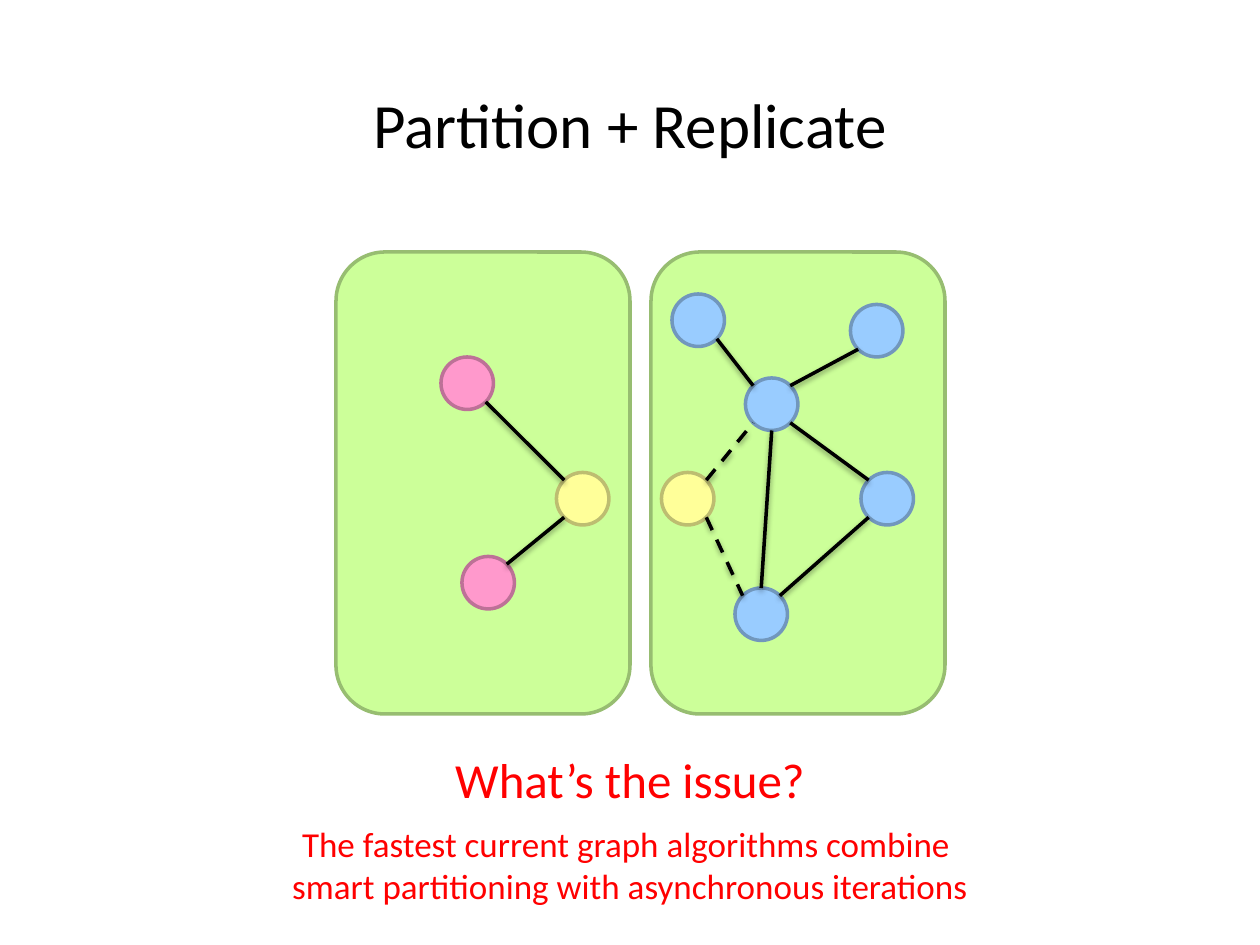
"""Build the slide on partitioning and replicating a graph."""
from math import sqrt

from lxml import etree
from pptx import Presentation
from pptx.dml.color import RGBColor
from pptx.enum.dml import MSO_LINE
from pptx.enum.shapes import MSO_CONNECTOR, MSO_SHAPE
from pptx.enum.text import MSO_ANCHOR, PP_ALIGN
from pptx.oxml import parse_xml
from pptx.util import Inches, Pt

ROUND, OVAL = MSO_SHAPE.ROUNDED_RECTANGLE, MSO_SHAPE.OVAL
STRAIGHT, DASH = MSO_CONNECTOR.STRAIGHT, MSO_LINE.DASH
CENTER, MIDDLE = PP_ALIGN.CENTER, MSO_ANCHOR.MIDDLE
BLACK = RGBColor(0x00, 0x00, 0x00)
RED = RGBColor(0xFF, 0x00, 0x00)
GREEN = RGBColor(0xCC, 0xFF, 0x99), RGBColor(0x97, 0xBD, 0x71)
PINK = RGBColor(0xFF, 0x99, 0xCC), RGBColor(0xBD, 0x71, 0x97)
YELLOW = RGBColor(0xFF, 0xFF, 0x99), RGBColor(0xBD, 0xBD, 0x71)
BLUE = RGBColor(0x99, 0xCC, 0xFF), RGBColor(0x71, 0x97, 0xBD)

FONT = "Calibri"
UNIT = Inches(1) / 12
SIZE = 5
STROKE = Pt(2)
PANELS = [(32, 24), (62, 24)]
PANEL_SIZE = 28, 44
NODES = {
    "pink top": (42, 34, PINK),
    "pink low": (44, 53, PINK),
    "border": (53, 45, YELLOW),
    "replica": (63, 45, YELLOW),
    "hub": (71, 36, BLUE),
    "base": (70, 56, BLUE),
    "left": (64, 28, BLUE),
    "right": (81, 29, BLUE),
    "east": (82, 45, BLUE),
}
EDGES = [
    ("pink top", "SE", "border", "NW", False),
    ("border", "SW", "pink low", "NE", False),
    ("replica", "NE", "hub", "SW", True),
    ("replica", "SE", "base", "NW", True),
    ("left", "SE", "hub", "NW", False),
    ("right", "SW", "hub", "NE", False),
    ("east", "SW", "base", "NE", False),
    ("east", "NW", "hub", "SE", False),
    ("hub", "S", "base", "N", False),
]
TEXTS = [
    ("Partition + Replicate", dict(top=0.6, height=0.75, size=36, color=BLACK)),
    ("What’s the issue?", dict(top=5.9, height=0.57, size=28, color=RED)),
    ("The fastest current graph algorithms combine \v"
     "smart partitioning with asynchronous iterations",
     dict(top=6.48, height=0.77, size=20, color=RED)),
]
SHADOW = (
    '<a:effectLst xmlns:a="http://schemas.openxmlformats.org/drawingml/2006/main">'
    '<a:outerShdw blurRad="40000" dist="20000" dir="5400000" rotWithShape="0">'
    '<a:srgbClr val="000000"><a:alpha val="38000"/></a:srgbClr>'
    '</a:outerShdw></a:effectLst>'
)


def grid(*cells):
    return [round(cell * UNIT) for cell in cells]


def add_form(slide, kind, box, tones):
    form = slide.shapes.add_shape(kind, *grid(*box))
    form.shadow.inherit = False
    form.fill.solid()
    form.fill.fore_color.rgb, form.line.color.rgb = tones
    form.line.width = STROKE


def rim(name, side):
    left, top, _ = NODES[name]
    reach = SIZE / 2 / sqrt(len(side))
    across = ("E" in side) - ("W" in side)
    down = ("S" in side) - ("N" in side)
    return grid(left + SIZE / 2 + across * reach, top + SIZE / 2 + down * reach)


def add_edge(slide, start, out, end, into, dashed):
    edge = slide.shapes.add_connector(STRAIGHT, *rim(start, out), *rim(end, into))
    edge.line.color.rgb = BLACK
    edge.line.width = STROKE
    if dashed:
        edge.line.dash_style = DASH
    edge._element.spPr.append(parse_xml(SHADOW))


def add_text(slide, text, *, top, height, size, color):
    box = slide.shapes.add_textbox(0, Inches(top), Inches(10), Inches(height))
    frame = box.text_frame
    frame.word_wrap = True
    frame.vertical_anchor = MIDDLE
    para = frame.paragraphs[0]
    para.text = text
    para.alignment = CENTER
    for run in para.runs:
        run.font.name = FONT
        run.font.size = Pt(size)
        run.font.color.rgb = color


def main():
    deck = Presentation()
    deck.slide_width, deck.slide_height = Inches(10), Inches(7.5)
    slide = deck.slides.add_slide(deck.slide_layouts[6])
    for spot in PANELS:
        add_form(slide, ROUND, spot + PANEL_SIZE, GREEN)
    for left, top, tones in NODES.values():
        add_form(slide, OVAL, (left, top, SIZE, SIZE), tones)
    for edge in EDGES:
        add_edge(slide, *edge)
    for text, style in TEXTS:
        add_text(slide, text, **style)
    deck.save("out.pptx")


if __name__ == "__main__":
    main()
